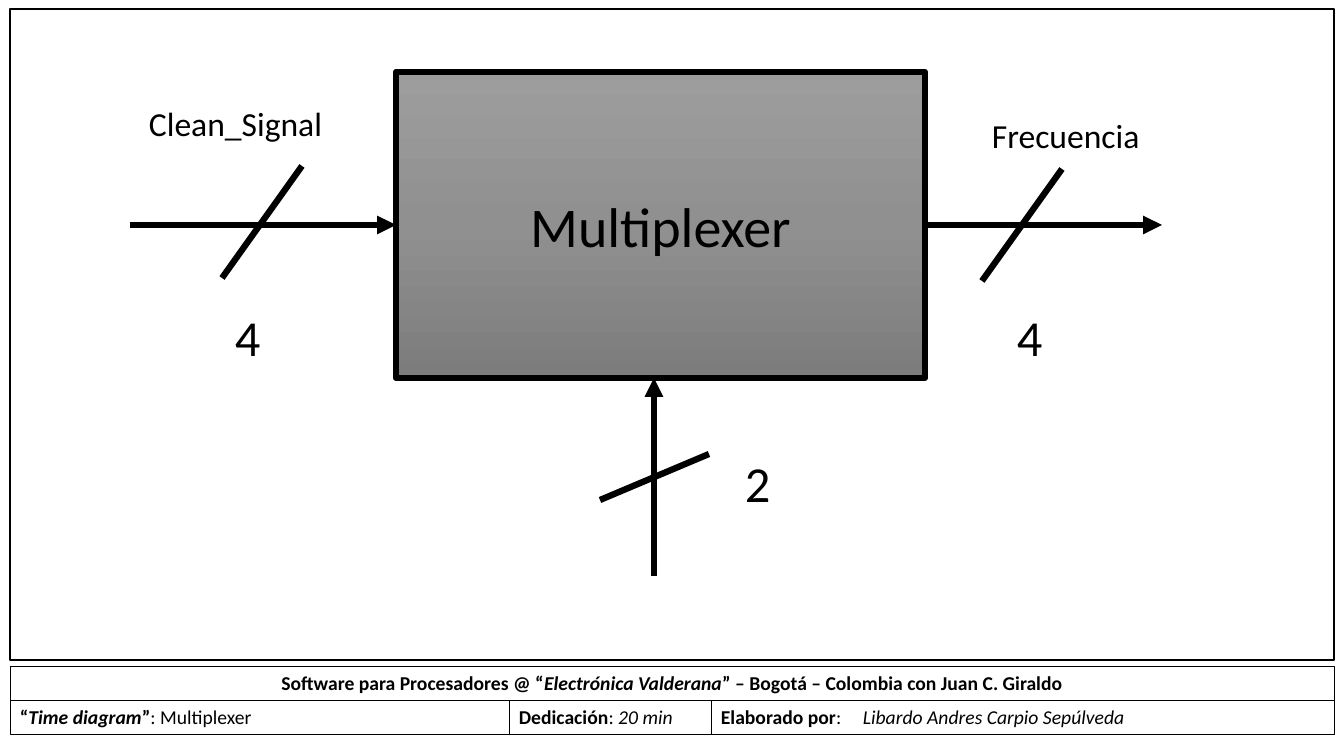
import copy

import pptx
import pptx.util
import pptx.dml.color
import pptx.enum.shapes
import pptx.enum.text
import pptx.oxml
import pptx.oxml.ns

BLACK = pptx.dml.color.RGBColor(0x00, 0x00, 0x00)
BLOCK_TOP = pptx.dml.color.RGBColor(0x9D, 0x9D, 0x9D)
BLOCK_MIDDLE = pptx.dml.color.RGBColor(0x90, 0x90, 0x90)
BLOCK_BOTTOM = pptx.dml.color.RGBColor(0x7C, 0x7C, 0x7C)
FONT = "Calibri"
SCALE = 914400 / 100.8
STROKE = 4.5
CELL_LINE = 0.25
CELL_SIZE = 14
LEFT = pptx.enum.text.PP_ALIGN.LEFT
CENTER = pptx.enum.text.PP_ALIGN.CENTER


def px(pixels):
    """Turn pixels into EMU."""
    return pptx.util.Emu(round(pixels * SCALE))


def add_text(box, spans, size, align=LEFT):
    """Fill a box with one paragraph of (text, style) spans, style holding b and i."""
    box.text_frame.word_wrap = True
    para = box.text_frame.paragraphs[0]
    para.alignment = align
    for text, style in spans:
        span = para.add_run()
        span.text = text
        span.font.name = FONT
        span.font.size = pptx.util.Pt(size)
        span.font.color.rgb = BLACK
        span.font.bold = "b" in style
        span.font.italic = "i" in style
    return para


def add_box(page, left, top, width, height, weight):
    """Add an unfilled rectangle with a black outline."""
    box = page.shapes.add_shape(
        pptx.enum.shapes.MSO_SHAPE.RECTANGLE, px(left), px(top), px(width), px(height))
    box.shadow.inherit = False
    box.fill.background()
    box.line.color.rgb = BLACK
    box.line.width = pptx.util.Pt(weight)
    return box


def add_cell(page, left, top, width, spans, align=LEFT):
    """Add one cell of the title block."""
    cell = add_box(page, left, top, width, 34, CELL_LINE)
    cell.text_frame.vertical_anchor = pptx.enum.text.MSO_ANCHOR.TOP
    return add_text(cell, spans, CELL_SIZE, align)


def add_tab_stop(para, position):
    """Set a left tab stop in a paragraph."""
    tabs = pptx.oxml.parse_xml(
        f'<a:tabLst {pptx.oxml.ns.nsdecls("a")}>'
        f'<a:tab pos="{px(position)}" algn="l"/></a:tabLst>')
    para._p.get_or_add_pPr().append(tabs)


def add_block(page, left, top, width, height, name):
    """Add the shaded component block with its name."""
    block = add_box(page, left, top, width, height, STROKE)
    block.fill.gradient()
    block.fill.gradient_angle = 270
    stop_list = block._element.spPr.find(".//" + pptx.oxml.ns.qn("a:gsLst"))
    stop_list.insert(1, copy.deepcopy(stop_list[0]))
    shades = (BLOCK_TOP, BLOCK_MIDDLE, BLOCK_BOTTOM)
    for stop, shade, position in zip(block.fill.gradient_stops, shades, (0, 0.5, 1)):
        stop.color.rgb = shade
        stop.position = position
    block.text_frame.vertical_anchor = pptx.enum.text.MSO_ANCHOR.MIDDLE
    add_text(block, [(name, "")], 40, CENTER)


def add_line(page, start, end, arrow=False):
    """Add a thick black line, with an arrowhead at its end if asked."""
    line = page.shapes.add_connector(
        pptx.enum.shapes.MSO_CONNECTOR.STRAIGHT, *map(px, start + end))
    line.line.color.rgb = BLACK
    line.line.width = pptx.util.Pt(STROKE)
    properties = line._element.spPr
    if arrow:
        outline = properties.find(pptx.oxml.ns.qn("a:ln"))
        outline.append(pptx.oxml.parse_xml(
            f'<a:tailEnd {pptx.oxml.ns.nsdecls("a")} type="triangle"/>'))
    properties.append(pptx.oxml.parse_xml(
        f'<a:effectLst {pptx.oxml.ns.nsdecls("a")}/>'))


def add_label(page, left, top, width, height, text, size):
    """Add a free label."""
    label = page.shapes.add_textbox(px(left), px(top), px(width), px(height))
    add_text(label, [(text, "")], size)


def add_bus(page, start, end, slash_start, slash_end, bits, bits_at):
    """Add a bus arrow with its slash and its number of bits."""
    add_line(page, start, end, arrow=True)
    add_line(page, slash_start, slash_end)
    add_label(page, *bits_at, 37, 71, bits, 36)


def add_title_block(page):
    """Add the two rows of document data under the frame."""
    add_cell(page, 10, 666, 1324, [
        ("Software para Procesadores @ “", "b"),
        ("Electrónica Valderana", "bi"),
        ("” – Bogotá – Colombia con Juan C. Giraldo", "b")], CENTER)
    add_cell(page, 10, 700, 499, [
        ("“", "b"), ("Time diagram", "bi"), ("”", "b"), (": Multiplexer", "")])
    add_cell(page, 509, 700, 202, [
        ("Dedicación", "b"), (": ", ""), ("20 min", "i")])
    author = add_cell(page, 711, 700, 623, [
        ("Elaborado por", "b"), (":\t", ""), ("Libardo Andres Carpio Sepúlveda", "i")])
    add_tab_stop(author, 142)


def main():
    """Build the multiplexer diagram slide."""
    deck = pptx.Presentation()
    deck.slide_width, deck.slide_height = px(1344), px(756)
    page = deck.slides.add_slide(deck.slide_layouts[6])
    add_box(page, 10, 9, 1324, 651, 1)
    add_title_block(page)
    add_block(page, 396, 72, 529, 306, "Multiplexer")
    add_bus(page, (130, 225), (396, 225), (302, 166), (222, 278), "4", (225, 301))
    add_bus(page, (925, 225), (1162, 225), (1062, 169), (982, 281), "4", (1007, 301))
    add_bus(page, (654, 576), (654, 378), (709, 454), (600, 500), "2", (735, 447))
    add_label(page, 139, 98, 240, 50, "Clean_Signal", 24)
    add_label(page, 982, 110, 240, 50, "Frecuencia", 24)
    deck.save("out.pptx")


main()
